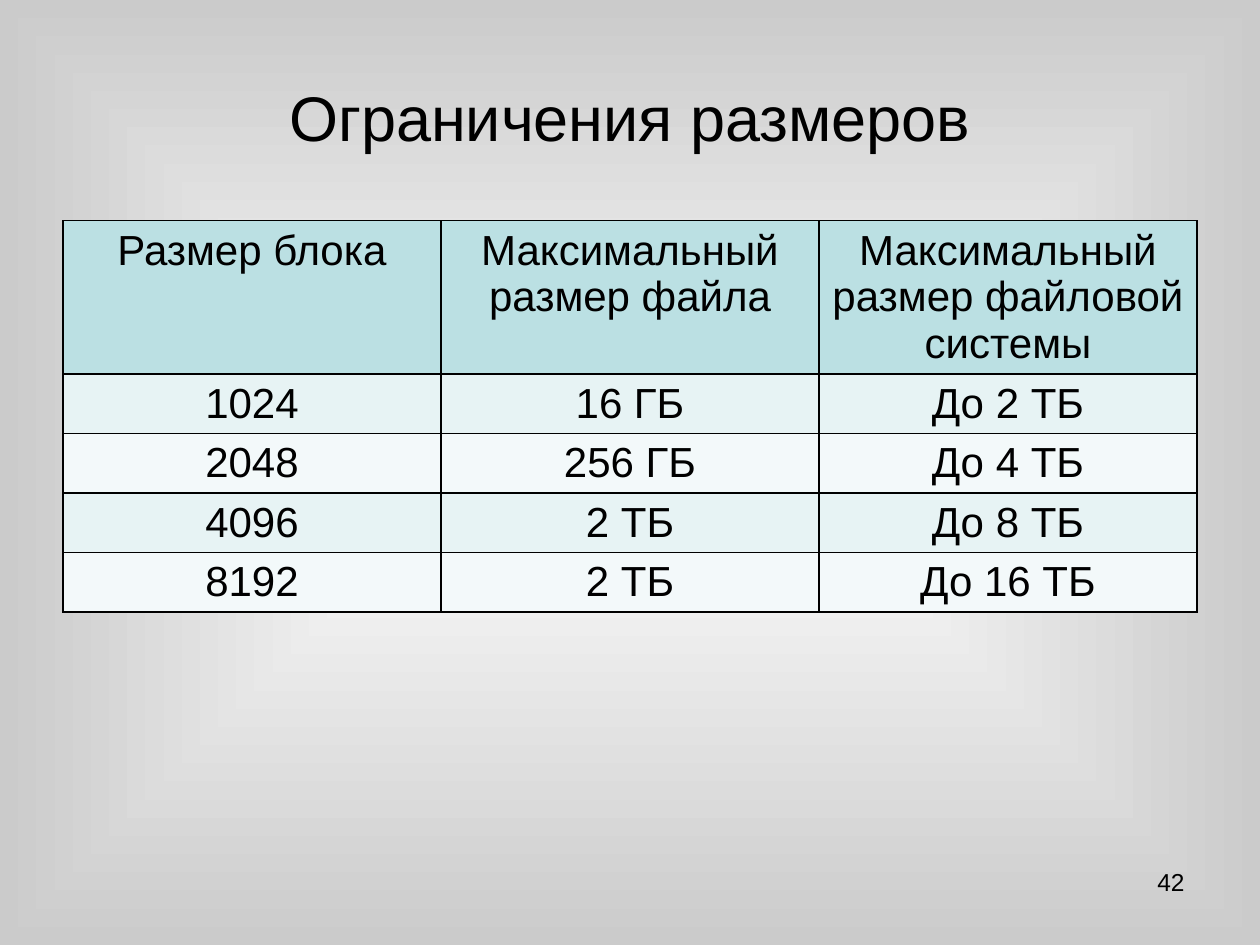
from dataclasses import dataclass

from lxml import etree
from pptx import Presentation
from pptx.dml.color import RGBColor
from pptx.enum import text as t
from pptx.oxml import ns
from pptx.util import Cm, Pt

BLACK = RGBColor(0x00, 0x00, 0x00)
WHITE = RGBColor(0xFF, 0xFF, 0xFF)
GREY = RGBColor(0xCB, 0xCB, 0xCB)
HEAD = RGBColor(0xBB, 0xE0, 0xE3)
ODD = RGBColor(0xE7, 0xF3, 0xF4)
EVEN = RGBColor(0xF3, 0xF9, 0xFA)


@dataclass
class Row:
    cells: tuple[str, str, str]
    fill: RGBColor
    height: float = 1.2


ROWS = [
    Row(("Размер блока", "Максимальный размер файла",
         "Максимальный размер файловой системы"), HEAD, 3.08),
    Row(("1024", "16 ГБ", "До 2 ТБ"), ODD),
    Row(("2048", "256 ГБ", "До 4 ТБ"), EVEN),
    Row(("4096", "2 ТБ", "До 8 ТБ"), ODD),
    Row(("8192", "2 ТБ", "До 16 ТБ"), EVEN),
]


def write(frame, words: str, size: int, align=t.PP_ALIGN.CENTER) -> None:
    frame.text = words
    frame.word_wrap = True
    para = frame.paragraphs[0]
    para.alignment = align
    font = para.runs[0].font
    for key, value in {"name": "Arial", "size": Pt(size)}.items():
        setattr(font, key, value)
    font.color.rgb = BLACK


def shade(slide) -> None:
    fill = slide.background.fill
    fill.gradient()
    for stop, tone in zip(fill.gradient_stops, (WHITE, GREY)):
        stop.color.rgb = tone
    line = slide.element.find(".//" + ns.qn("a:lin"))
    shape = etree.Element(ns.qn("a:path"), path="rect")
    sides = dict.fromkeys("ltrb", "50000")
    etree.SubElement(shape, ns.qn("a:fillToRect"), sides)
    line.getparent().replace(line, shape)


def frame_cell(cell) -> None:
    props = cell._tc.get_or_add_tcPr()
    for side in "LRTB":
        line = etree.SubElement(props, ns.qn(f"a:ln{side}"), w=str(Pt(1)))
        solid = etree.SubElement(line, ns.qn("a:solidFill"))
        etree.SubElement(solid, ns.qn("a:srgbClr"), val=str(BLACK))


def draw_table(slide, rows: list[Row]) -> None:
    count = len(rows[0].cells)
    high = sum(row.height for row in rows)
    table = slide.shapes.add_table(
        len(rows), count, Cm(1.27), Cm(4.45), Cm(22.86), Cm(high)).table
    for key in ("first_row", "horz_banding"):
        setattr(table, key, False)
    for col in table.columns:
        col.width = Cm(22.86 / count)
    for line, row in zip(table.rows, rows):
        line.height = Cm(row.height)
        for cell, words in zip(line.cells, row.cells):
            frame_cell(cell)
            cell.fill.solid()
            cell.fill.fore_color.rgb = row.fill
            write(cell.text_frame, words, 24)


def main() -> None:
    deck = Presentation()
    deck.slide_width, deck.slide_height = Cm(25.4), Cm(19.05)
    slide = deck.slides.add_slide(deck.slide_layouts[5])
    shade(slide)

    title = slide.shapes.title
    place = {"left": 1.27, "top": 0.76, "width": 22.86, "height": 3.18}
    for key, value in place.items():
        setattr(title, key, Cm(value))
    write(title.text_frame, "Ограничения размеров", 36)
    title.text_frame.vertical_anchor = t.MSO_ANCHOR.MIDDLE

    draw_table(slide, ROWS)

    page = slide.shapes.add_textbox(Cm(18.21), Cm(17.35), Cm(5.92), Cm(1.32))
    write(page.text_frame, "42", 14, t.PP_ALIGN.RIGHT)
    deck.save("out.pptx")


if __name__ == "__main__":
    main()
